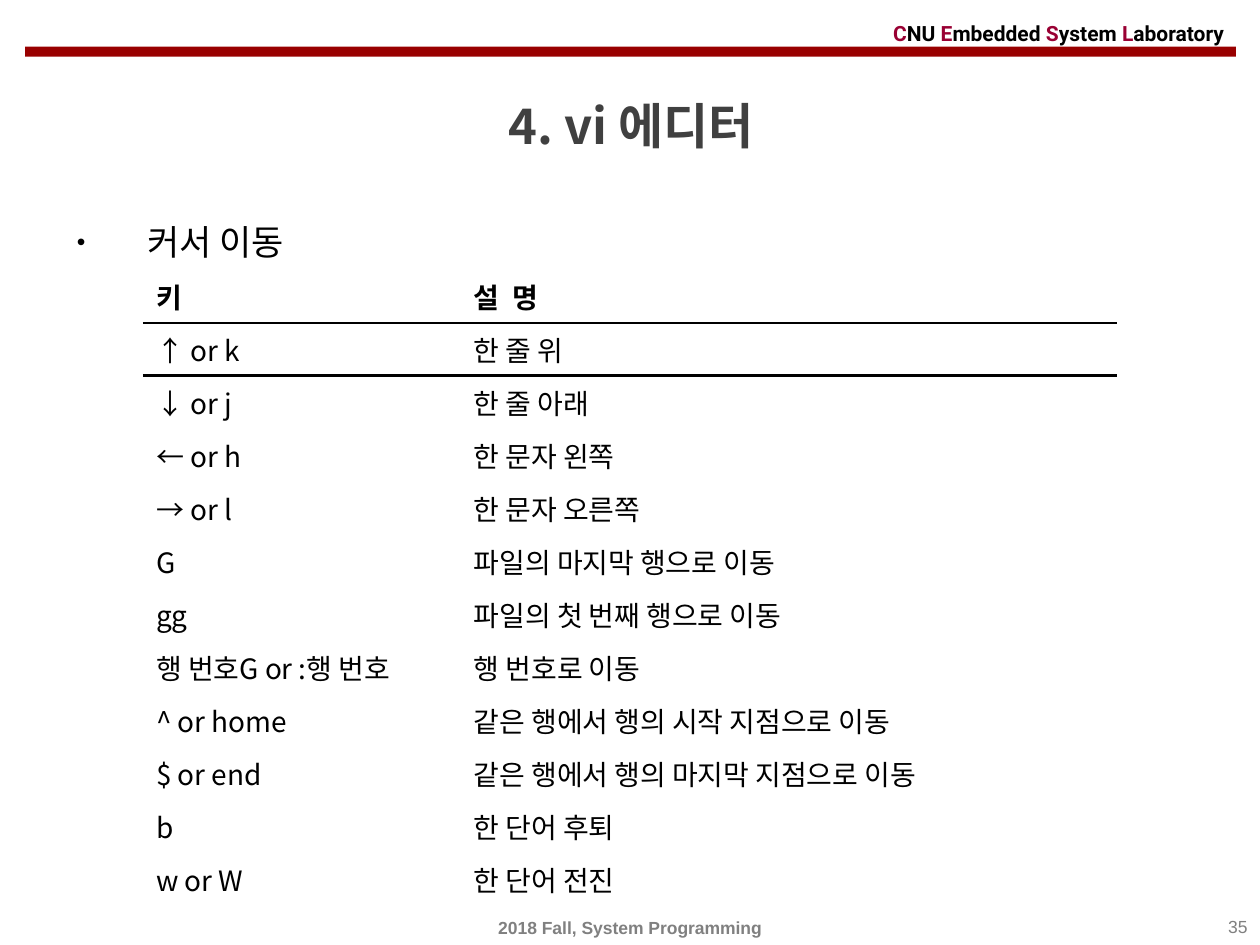
from typing import NamedTuple

from lxml import etree
from pptx import Presentation
from pptx.dml.color import RGBColor
from pptx.enum.shapes import MSO_SHAPE
from pptx.enum.text import MSO_ANCHOR, MSO_AUTO_SIZE, PP_ALIGN
from pptx.oxml.ns import qn
from pptx.util import Emu, Inches, Pt

RECTANGLE = MSO_SHAPE.RECTANGLE
TOP, MIDDLE = MSO_ANCHOR.TOP, MSO_ANCHOR.MIDDLE
LEFT, CENTER, RIGHT = PP_ALIGN.LEFT, PP_ALIGN.CENTER, PP_ALIGN.RIGHT
NO_FIT = MSO_AUTO_SIZE.NONE

KOREAN, LATIN, SANS = "Noto Sans CJK KR", "Roboto", "Arial"
BLACK, GRAY, DARK, RED, CRIMSON = "000000", "808080", "404040", "990000", "990033"
UNIT = Inches(0.1)  # the slide is a grid of 100 columns by 75 rows


class Area(NamedTuple):
    """A place on the grid, in columns and rows."""
    column: float
    row: float
    columns: float
    rows: float

    def lengths(self) -> list[Emu]:
        return [Emu(round(value * UNIT)) for value in self]


class KeyHelp(NamedTuple):
    keys: str
    meaning: str


HEADING = KeyHelp("키", "설  명")
KEY_HELP = [
    KeyHelp("↑ or k", "한 줄 위"),
    KeyHelp("↓ or j", "한 줄 아래"),
    KeyHelp("← or h", "한 문자 왼쪽"),
    KeyHelp("→ or l", "한 문자 오른쪽"),
    KeyHelp("G", "파일의 마지막 행으로 이동"),
    KeyHelp("gg", "파일의 첫 번째 행으로 이동"),
    KeyHelp("행 번호G or :행 번호", "행 번호로 이동"),
    KeyHelp("^ or home", "같은 행에서 행의 시작 지점으로 이동"),
    KeyHelp("$ or end", "같은 행에서 행의 마지막 지점으로 이동"),
    KeyHelp("b", "한 단어 후퇴"),
    KeyHelp("w or W", "한 단어 전진"),
]
LABORATORY = ["CNU ", "Embedded ", "System ", "Laboratory"]
COLUMN_SPANS = [25.2, 52]
ROW_SPAN = 3.6


def color(value: str) -> RGBColor:
    return RGBColor.from_string(value)


def add_text(para, text: str, *, size: float, font: str = KOREAN,
             ink: str = BLACK, bold: bool = False, align=None) -> None:
    if align is not None:
        para.alignment = align
    span = para.add_run()
    span.text = text
    span.font.name = font
    span.font.size = Pt(size)
    span.font.bold = bold
    span.font.color.rgb = color(ink)
    etree.SubElement(span.font._element, qn("a:ea"), typeface=KOREAN)


def place(box, area: Area, anchor):
    """Moves a text shape and returns its first paragraph."""
    box.left, box.top, box.width, box.height = area.lengths()
    frame = box.text_frame
    frame.word_wrap = True
    frame.auto_size = NO_FIT
    frame.vertical_anchor = anchor
    return frame.paragraphs[0]


def add_box(page, area: Area, anchor=TOP):
    return place(page.shapes.add_textbox(*area.lengths()), area, anchor)


def set_bullet(para, indent: float, percent: int) -> None:
    properties = para._p.get_or_add_pPr()
    properties.set("marL", str(Inches(indent)))
    properties.set("indent", str(-Inches(indent)))
    before = etree.SubElement(properties, qn("a:spcBef"))
    etree.SubElement(before, qn("a:spcPct"), val="20000")
    etree.SubElement(properties, qn("a:buSzPct"), val=str(percent * 1000))
    etree.SubElement(properties, qn("a:buFont"), typeface=SANS)
    etree.SubElement(properties, qn("a:buChar"), char="•")


def set_border(cell, side: str, ink: str, width: float) -> None:
    """Adds a border before the fill, where the schema wants it."""
    line = etree.Element(qn(f"a:{side}"), w=str(Pt(width)))
    fill = etree.SubElement(line, qn("a:solidFill"))
    etree.SubElement(fill, qn("a:srgbClr"), val=ink)
    cell._tc.get_or_add_tcPr().insert(0, line)


def add_key_table(page, column: float, row: float) -> None:
    entries = [HEADING, *KEY_HELP]
    area = Area(column, row, sum(COLUMN_SPANS), ROW_SPAN * len(entries))
    table = page.shapes.add_table(len(entries), len(HEADING), *area.lengths()).table
    table.first_row = table.horz_banding = False
    for table_column, span in zip(table.columns, COLUMN_SPANS):
        table_column.width = Emu(round(span * UNIT))
    for index, entry in enumerate(entries):
        for cell, text in zip(table.rows[index].cells, entry):
            cell.fill.background()
            add_text(cell.text_frame.paragraphs[0], text, size=16, bold=index == 0)
            if index < 2:
                set_border(cell, "lnT" if index else "lnB", BLACK, 1.5)


def add_banner(page) -> None:
    bar = page.shapes.add_shape(RECTANGLE, *Area(2, 3.7, 96.1, 0.8).lengths())
    bar.shadow.inherit = False
    bar.fill.solid()
    bar.fill.fore_color.rgb = color(RED)
    bar.line.fill.background()
    para = add_box(page, Area(69.9, 1.2, 30.3, 2.8), MIDDLE)
    para.alignment = LEFT
    for word in LABORATORY:
        add_text(para, word[0], size=12, font=LATIN, ink=CRIMSON, bold=True)
        add_text(para, word[1:], size=12, font=LATIN, bold=True)


def main() -> None:
    deck = Presentation()
    deck.slide_width, deck.slide_height = 100 * UNIT, 75 * UNIT
    page = deck.slides.add_slide(deck.slide_layouts[1])
    add_banner(page)

    title = place(page.shapes.title, Area(2.1, 6, 96, 7.9), MIDDLE)
    add_text(title, "4. vi 에디터", size=28, ink=DARK, bold=True, align=CENTER)

    topic = place(page.placeholders[1], Area(5.1, 17, 90.6, 52.8), TOP)
    set_bullet(topic, 0.56, 70)
    add_text(topic, "커서 이동", size=20, font=LATIN)

    add_key_table(page, 11.4, 21.4)

    number = add_box(page, Area(76.7, 72.2, 23.3, 2.8))
    add_text(number, "35", size=10, font=SANS, ink=GRAY, align=RIGHT)
    footer = add_box(page, Area(0, 72.2, 100, 2.8), MIDDLE)
    add_text(footer, "2018 Fall, System Programming", size=10, font=SANS,
             ink=GRAY, bold=True, align=CENTER)
    deck.save("out.pptx")


if __name__ == "__main__":
    main()
